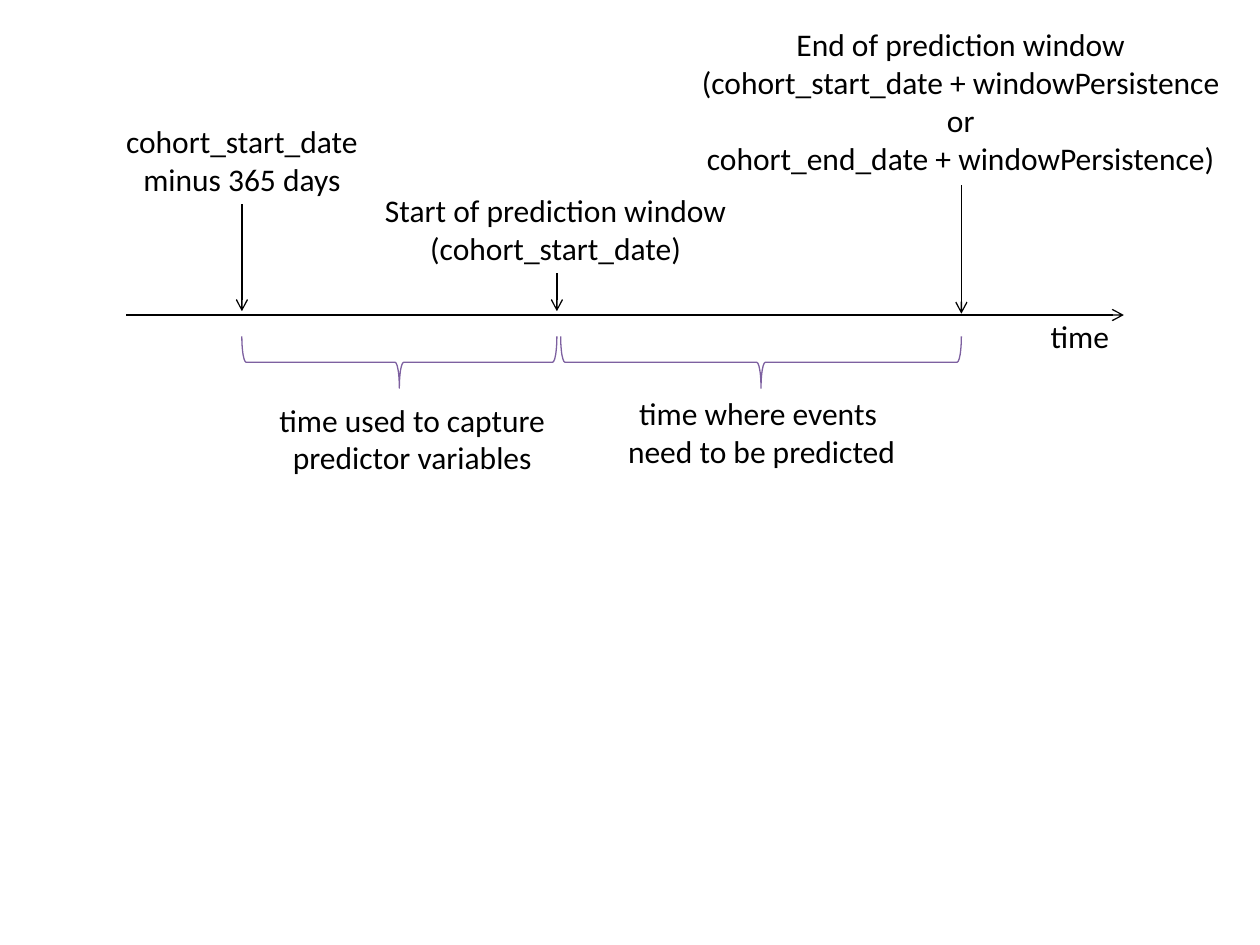
"""Build a timeline slide of the prediction window."""
from lxml import etree
from pptx import Presentation
from pptx.dml.color import RGBColor
from pptx.enum import shapes, text
from pptx.oxml import ns
from pptx.util import Inches, Pt

FONT, SIZE, LINE_WIDTH = "Calibri", 18, 0.75
BLACK, PURPLE = "000000", "7D60A0"
LEFT, CENTER = text.PP_ALIGN.LEFT, text.PP_ALIGN.CENTER

AXIS_Y = 2.5
LOOKBACK_X, START_X, END_X = 1.92, 4.42, 7.63
ARROWS = [
    ((1, AXIS_Y), (8.92, AXIS_Y)),
    ((LOOKBACK_X, 1.62), (LOOKBACK_X, 2.47)),
    ((START_X, 2.17), (START_X, 2.47)),
    ((END_X, 1.47), (END_X, 2.49)),
]
BRACE_TOP, BRACE_DEPTH = 2.67, 0.41
BRACES = [(LOOKBACK_X, START_X), (START_X + 0.03, END_X)]
LABELS = [
    ((0.89, 0.92, 2.06, 0.71), [("cohort_start_date", CENTER), ("minus 365 days", CENTER)]),
    ((2.94, 1.47, 2.94, 0.71), [("Start of prediction window", CENTER), ("(cohort_start_date)", CENTER)]),
    ((5.38, 0.15, 4.49, 1.31), [
        ("End of prediction window", CENTER),
        ("(cohort_start_date + windowPersistence", CENTER),
        ("or", CENTER),
        ("cohort_end_date + windowPersistence)", CENTER),
    ]),
    ((8.24, 2.47, 0.67, 0.4), [("time", LEFT)]),
    ((2.12, 3.13, 2.34, 0.71), [("time used to capture", LEFT), ("predictor variables", CENTER)]),
    ((4.87, 3.08, 2.35, 0.71), [("time where events ", CENTER), ("need to be predicted", CENTER)]),
]


def color(hex_string):
    return RGBColor.from_string(hex_string)


def style_line(line, hex_string):
    line.color.rgb = color(hex_string)
    line.width = Pt(LINE_WIDTH)


def add_arrow(s, start, end):
    points = [Inches(v) for v in (*start, *end)]
    arrow = s.shapes.add_connector(shapes.MSO_CONNECTOR.STRAIGHT, *points)
    style_line(arrow.line, BLACK)
    etree.SubElement(arrow.line._get_or_add_ln(), ns.qn("a:tailEnd"), type="arrow")
    etree.SubElement(arrow._element.spPr, ns.qn("a:effectLst"))


def add_brace(s, x1, x2):
    span = x2 - x1
    left = (x1 + x2 - BRACE_DEPTH) / 2
    top = BRACE_TOP + (BRACE_DEPTH - span) / 2
    box = [Inches(v) for v in (left, top, BRACE_DEPTH, span)]
    brace = s.shapes.add_shape(shapes.MSO_SHAPE.LEFT_BRACE, *box)
    brace.rotation = 270
    brace.fill.background()
    brace.shadow.inherit = False
    style_line(brace.line, PURPLE)


def add_label(s, box, lines):
    tf = s.shapes.add_textbox(*[Inches(v) for v in box]).text_frame
    tf.word_wrap = False
    tf.auto_size = text.MSO_AUTO_SIZE.SHAPE_TO_FIT_TEXT
    tf.text = "\n".join(words for words, _ in lines)
    for p, (_, alignment) in zip(tf.paragraphs, lines):
        p.alignment = alignment
        p.font.name = FONT
        p.font.size = Pt(SIZE)
        p.font.color.rgb = color(BLACK)


def main():
    prs = Presentation()
    prs.slide_width, prs.slide_height = Inches(10), Inches(7.5)
    s = prs.slides.add_slide(prs.slide_layouts[6])
    for start, end in ARROWS:
        add_arrow(s, start, end)
    for x1, x2 in BRACES:
        add_brace(s, x1, x2)
    for box, lines in LABELS:
        add_label(s, box, lines)
    prs.save("out.pptx")


if __name__ == "__main__":
    main()
